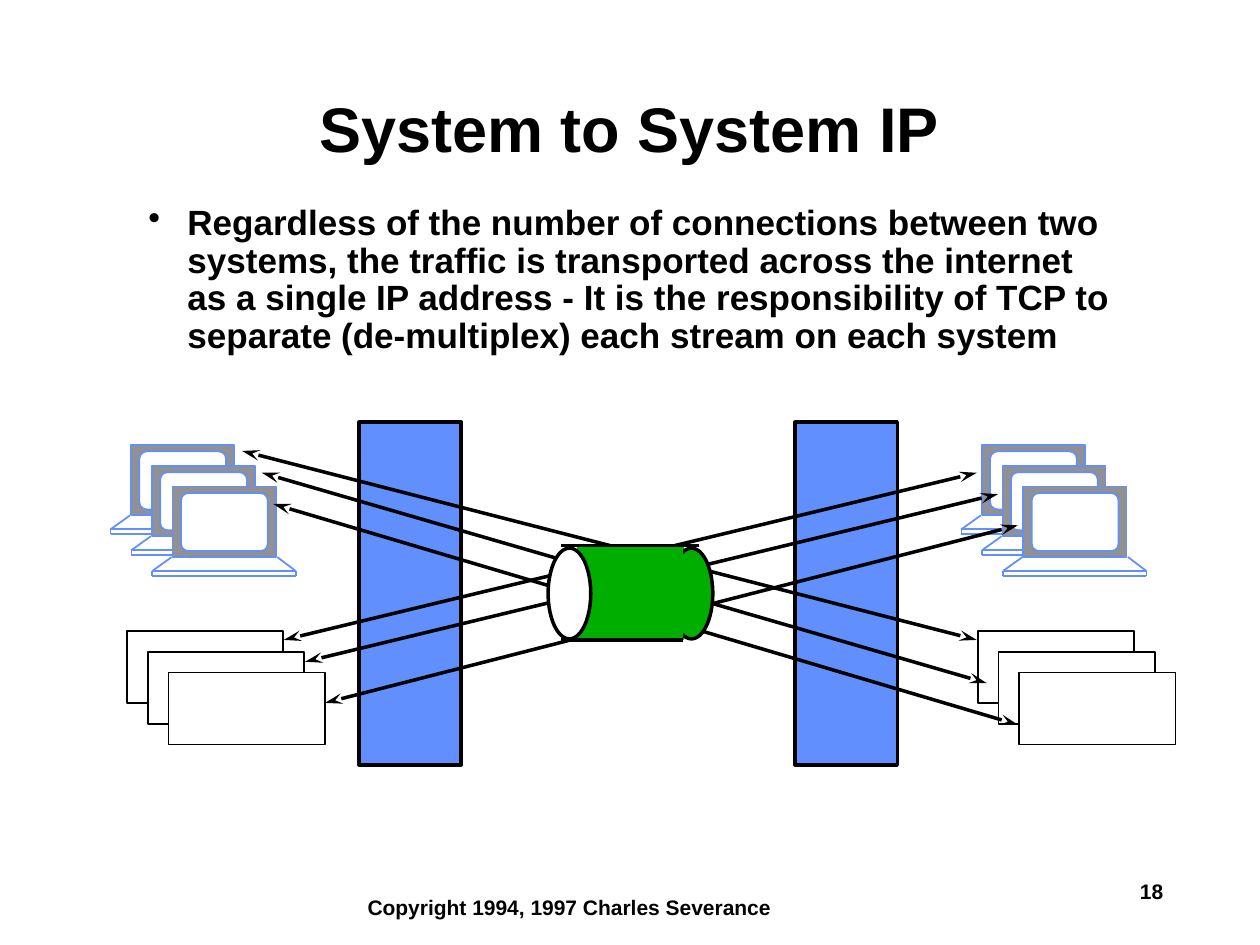
"""Build the System to System IP slide."""
import lxml.etree
import pptx
import pptx.dml.color
import pptx.enum.shapes
import pptx.enum.text
import pptx.oxml.ns
import pptx.util

Cm, Pt = pptx.util.Cm, pptx.util.Pt
Kind = pptx.enum.shapes.MSO_SHAPE
Align = pptx.enum.text.PP_ALIGN
Anchor = pptx.enum.text.MSO_ANCHOR
qn = pptx.oxml.ns.qn
HUES = {
    name: pptx.dml.color.RGBColor.from_string(code)
    for name, code in {
        "black": "000000", "white": "FFFFFF", "blue": "618FFD",
        "gray": "919191", "green": "00AE00",
    }.items()
}

deck = pptx.Presentation()
deck.slide_width, deck.slide_height = Cm(25.4), Cm(19.05)
slide = deck.slides.add_slide(deck.slide_layouts[6])


def block(kind, left, top, width, height, fill, edge=None, weight=1):
    shape = slide.shapes.add_shape(kind, Cm(left), Cm(top), Cm(width), Cm(height))
    shape.shadow.inherit = False
    shape.fill.solid()
    shape.fill.fore_color.rgb = HUES[fill]
    if edge:
        shape.line.color.rgb = HUES[edge]
        shape.line.width = Pt(weight)
    else:
        shape.line.fill.background()
    return shape


def stroke(start, end, color, weight, arrows=False):
    line = slide.shapes.add_connector(
        pptx.enum.shapes.MSO_CONNECTOR.STRAIGHT, *map(Cm, start + end))
    line.line.color.rgb = HUES[color]
    line.line.width = Pt(weight)
    if arrows:
        for tag in ("a:headEnd", "a:tailEnd"):
            lxml.etree.SubElement(line.line._get_or_add_ln(), qn(tag),
                                  type="stealth", w="med", len="lg")
    lxml.etree.SubElement(line._element.spPr, qn("a:effectLst"))


step = 0.42
base = [
    ((-0.02, 1.42), (-0.41, 1.7)),
    ((-0.41, 1.7), (2.48, 1.7)),
    ((-0.41, 1.8), (2.48, 1.8)),
    ((-0.41, 1.7), (-0.41, 1.8)),
    ((2.11, 1.42), (2.48, 1.7)),
    ((2.48, 1.7), (2.48, 1.8)),
]
for side, wall in ((0, 7.24), (17.15, 16.03)):
    for i in range(3):
        x, y = 2.64 + side + i * step, 8.97 + i * step
        block(Kind.RECTANGLE, x, y, 2.08, 1.42, "gray", "blue")
        screen = block(Kind.ROUNDED_RECTANGLE, x + 0.17, y + 0.13, 1.75, 1.17,
                       "white", "blue")
        screen.adjustments[0] = 0.125
        for (x1, y1), (x2, y2) in base if i else base[:4]:
            stroke((x + x1, y + y1), (x + x2, y + y2), "blue", 1)
    block(Kind.RECTANGLE, wall, 8.51, 2.06, 6.91, "blue", "black", 2)
    for i in range(3):
        block(Kind.RECTANGLE, 2.56 + side + i * step, 12.72 + i * step,
              3.15, 1.45, "white", "black")

for start, end in (
    ((5.51, 10.16), (20.52, 14.61)),
    ((5.28, 9.53), (19.89, 13.77)),
    ((4.88, 9.09), (19.69, 12.9)),
    ((5.72, 12.9), (19.69, 9.53)),
    ((6.15, 13.34), (20.12, 9.96)),
    ((6.55, 14.17), (20.52, 10.59)),
):
    stroke(start, end, "black", 2, arrows=True)

block(Kind.RECTANGLE, 11.63, 11, 2.16, 1.9, "green")
block(Kind.OVAL, 13.51, 11.05, 0.86, 1.83, "green", "black", 2)
block(Kind.RECTANGLE, 13.16, 11, 0.61, 1.9, "green")
stroke((14.1, 11), (11.3, 11), "black", 2)
stroke((13.77, 12.9), (11.3, 12.9), "black", 2)
block(Kind.OVAL, 11.05, 11.05, 0.86, 1.83, "white", "black", 2)

for words, left, top, width, height, size, role in (
    ("Copyright 1994, 1997 Charles Severance", 7.16, 17.91, 8.8, 0.76, 12, "foot"),
    ("18", 22.73, 17.58, 2.54, 0.76, 12, "foot"),
    ("System to System IP", 2.74, 1.7, 19.89, 1.91, 36, "title"),
    ("Regardless of the number of connections between two systems, the traffic "
     "is transported across the internet as a single IP address - It is the "
     "responsibility of TCP to separate (de-multiplex) each stream on each system",
     2.74, 4.01, 19.89, 12.9, 20, "body"),
):
    frame = slide.shapes.add_textbox(
        Cm(left), Cm(top), Cm(width), Cm(height)).text_frame
    frame.word_wrap = True
    para = frame.paragraphs[0]
    para.text = words
    if role != "foot":
        para.line_spacing = 0.9
    if role == "title":
        para.alignment = Align.CENTER
        frame.vertical_anchor = Anchor.MIDDLE
    if role == "body":
        props = para._p.get_or_add_pPr()
        props.set("marL", str(Cm(0.79)))
        props.set("indent", str(Cm(-0.79)))
        lxml.etree.SubElement(props, qn("a:buChar"), char="•")
    para.font.name = "Arial"
    para.font.size = Pt(size)
    para.font.bold = True
    para.font.color.rgb = HUES["black"]

deck.save("out.pptx")
